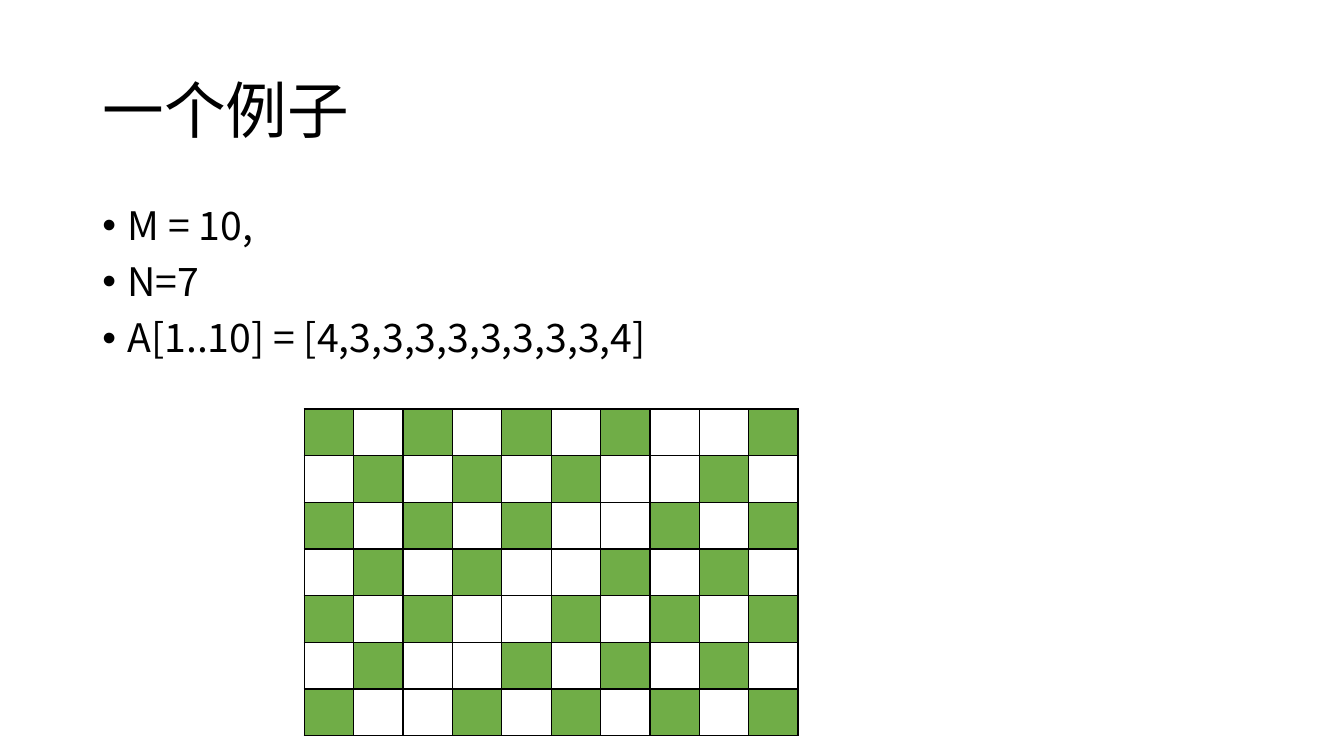
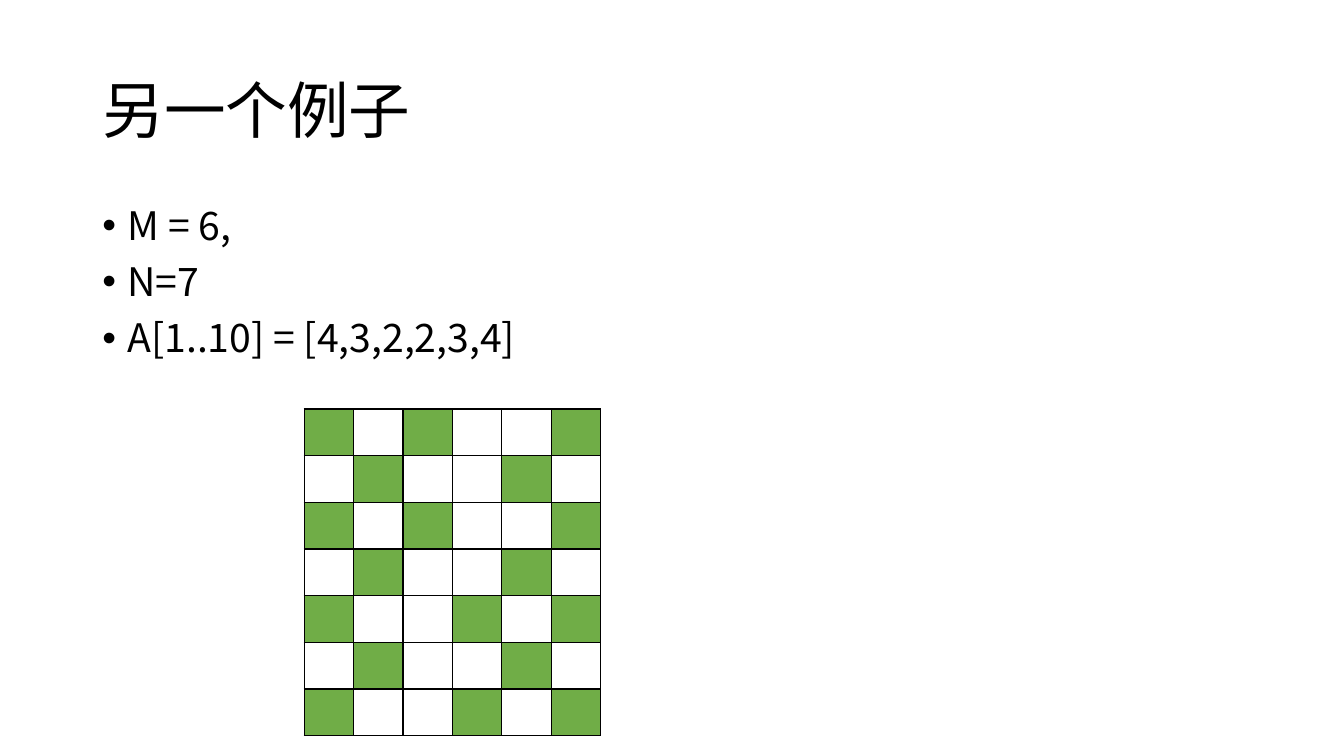
import pptx
import pptx.util
import pptx.dml.color
import pptx.enum.text
import pptx.oxml
import pptx.oxml.ns
import lxml.etree

Pt = pptx.util.Pt
qn = pptx.oxml.ns.qn

# Shared style
FONT = "Noto Sans CJK SC"
BLACK = "000000"
GREEN = "70AD47"
TITLE_BOX = (66, 28.75, 828, 104.4)
LIST_BOX = (66, 143.75, 828, 342.6)
GRID_ORIGIN = (217.4, 292.1)
CELL_W, CELL_H = 35.28, 33.36


def color(hex_text):
    return pptx.dml.color.RGBColor.from_string(hex_text)


def style_paragraph(p, size):
    p.alignment = pptx.enum.text.PP_ALIGN.LEFT
    p.line_spacing = 0.9
    p.font.size = Pt(size)
    p.font.color.rgb = color(BLACK)
    p.font.name = FONT
    props = p._p.pPr.find(qn("a:defRPr"))
    lxml.etree.SubElement(props, qn("a:ea")).set("typeface", FONT)
    return props


def add_title(slide, box, text):
    sp = slide.shapes.title
    sp.left, sp.top, sp.width, sp.height = map(Pt, box)
    tf = sp.text_frame
    tf.text = text
    tf.vertical_anchor = pptx.enum.text.MSO_ANCHOR.MIDDLE
    style_paragraph(tf.paragraphs[0], 44)


def add_bullets(slide, box, lines):
    tf = slide.shapes.add_textbox(*map(Pt, box)).text_frame
    tf.word_wrap = True
    tf.text = "\n".join(lines)
    for p in tf.paragraphs:
        p.space_before = Pt(10)
        props = style_paragraph(p, 28)
        # Hanging bullet
        p._p.pPr.set("marL", str(Pt(18)))
        p._p.pPr.set("indent", str(-Pt(18)))
        for tag, key, value in (("a:buFont", "typeface", "Arial"),
                                ("a:buChar", "char", "•")):
            bullet = lxml.etree.Element(qn(tag))
            bullet.set(key, value)
            props.addprevious(bullet)


def add_borders(cell):
    tc_pr = cell._tc.get_or_add_tcPr()
    for i, side in enumerate(("lnL", "lnR", "lnT", "lnB")):
        line = lxml.etree.Element(qn("a:" + side))
        line.set("w", str(Pt(1)))
        fill = lxml.etree.SubElement(line, qn("a:solidFill"))
        lxml.etree.SubElement(fill, qn("a:srgbClr")).set("val", BLACK)
        tc_pr.insert(i, line)


def add_grid(slide, origin, pattern):
    """Draw one table cell per digit; 1 is a filled cell."""
    rows, cols = len(pattern), len(pattern[0])
    left, top = origin
    table = slide.shapes.add_table(
        rows, cols, Pt(left), Pt(top), Pt(cols * CELL_W), Pt(rows * CELL_H)).table
    table.first_row = table.horz_banding = False
    for column in table.columns:
        column.width = Pt(CELL_W)
    for row, digits in zip(table.rows, pattern):
        row.height = Pt(CELL_H)
        for cell, digit in zip(row.cells, digits):
            if digit == "1":
                cell.fill.solid()
                cell.fill.fore_color.rgb = color(GREEN)
            else:
                cell.fill.background()
            add_borders(cell)


def add_example(prs, title, lines, pattern):
    slide = prs.slides.add_slide(prs.slide_layouts[5])
    add_title(slide, TITLE_BOX, title)
    add_bullets(slide, LIST_BOX, lines)
    add_grid(slide, GRID_ORIGIN, pattern)


prs = pptx.Presentation()
prs.slide_width, prs.slide_height = Pt(960), Pt(540)

add_example(
    prs, "一个例子",
    ["M = 10,", "N=7", "A[1..10] = [4,3,3,3,3,3,3,3,3,4]"],
    ["1010101001",
     "0101010010",
     "1010100101",
     "0101001010",
     "1010010101",
     "0100101010",
     "1001010101"])

add_example(
    prs, "另一个例子",
    ["M = 6,", "N=7", "A[1..10] = [4,3,2,2,3,4]"],
    ["101001",
     "010010",
     "101001",
     "010010",
     "100101",
     "010010",
     "100101"])

prs.save("out.pptx")
